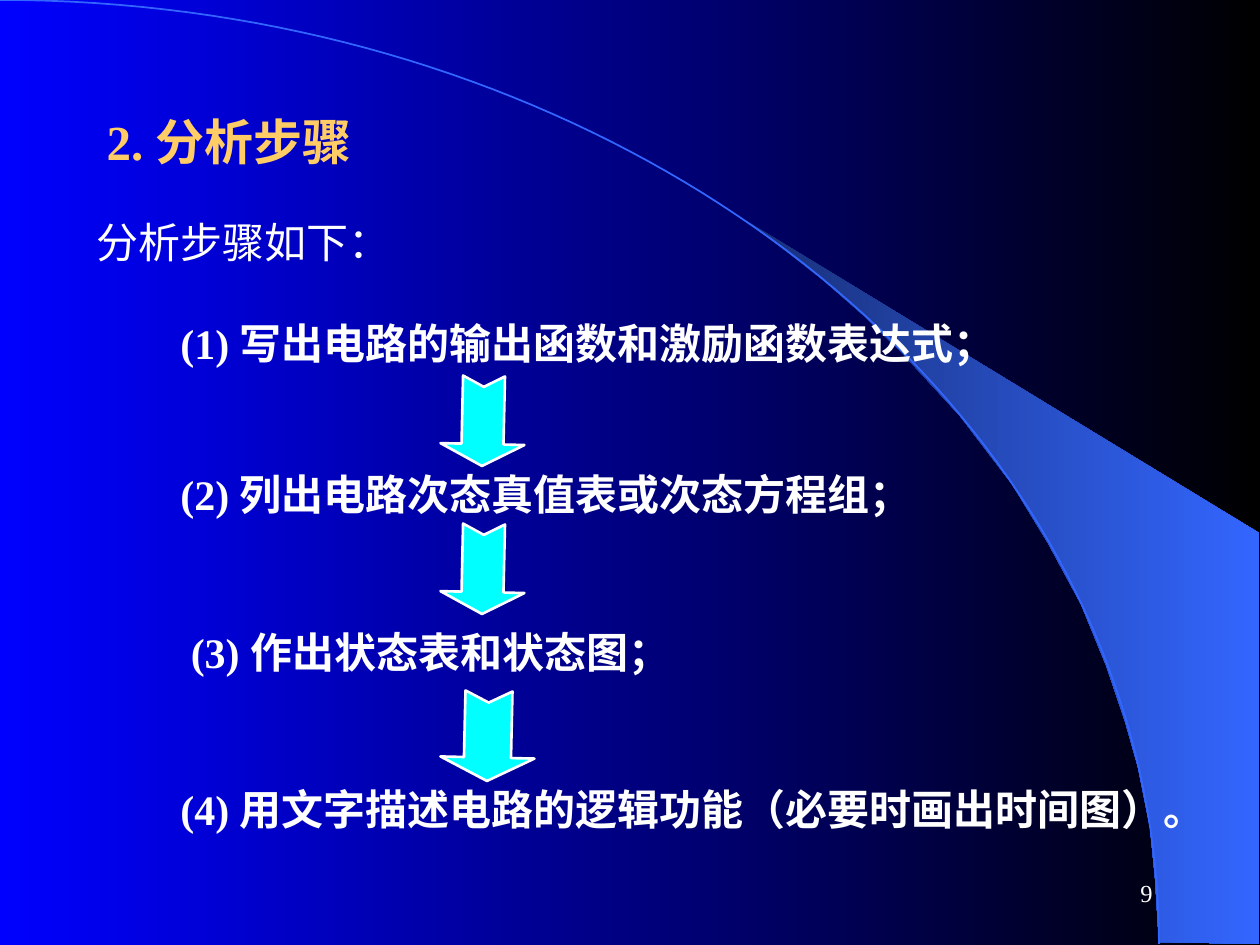
from pptx import Presentation
from pptx import util as u
from pptx.dml.color import RGBColor
from pptx.enum import shapes as sh, text as tx

FONT = "Times New Roman"
WHITE, GOLD, CYAN, BLUE = "FFFFFF", "FFCC66", "00FFFF", "3366FF"


def px(n):
    return u.Emu(round(n * 914400 / 126))


def color(code):
    return RGBColor.from_string(code)


def blend(fill, start, end):
    fill.gradient()
    fill.gradient_angle = 0
    for stop, code in zip(fill.gradient_stops, (start, end)):
        stop.color.rgb = color(code)


def trace(slide, points, close):
    pts = [(px(x), px(y)) for x, y in points]
    pen = slide.shapes.build_freeform(*pts[0], scale=1.0)
    pen.add_line_segments(pts[1:], close=close)
    shape = pen.convert_to_shape()
    shape.shadow.inherit = False
    return shape


def backdrop(slide, w, h):
    blend(slide.background.fill, "0000FF", "000000")
    # Glowing wedge outside the curve
    edge = [(1159, 942), (1259, 944), (1259, 533), (742, 218), (786, 251),
            (823, 280), (863, 315), (902, 353), (960, 416), (1012, 484),
            (1048, 543), (1081, 604), (1106, 665), (1125, 721),
            (1138, 767), (1150, 827), (1155, 877)]
    wedge = trace(slide, edge, True)
    blend(wedge.fill, "182F76", BLUE)
    wedge.line.fill.background()
    # Quarter curve, sampled from a cubic Bezier
    steps = 80
    curve = []
    for i in range(steps + 1):
        t = i / steps
        s = 1 - t
        curve.append((w * (1.656 * s * s * t + 3 * s * t * t + t ** 3),
                      h * (1.341 * s * t * t + t ** 3)))
    arc = trace(slide, curve, False)
    arc.fill.background()
    arc.line.color.rgb = color(BLUE)
    arc.line.width = u.Pt(1)


def write(para, words, size=24, code=WHITE, bold=True, indent=0):
    if indent:
        props = para._p.get_or_add_pPr()
        props.set("marL", str(px(indent)))
        props.set("indent", "0")
    run = para.add_run()
    run.text = words
    font = run.font
    font.name, font.size, font.bold = FONT, u.Pt(size), bold
    font.color.rgb = color(code)


def label(slide, x, y, w, h):
    box = slide.shapes.add_textbox(px(x), px(y), px(w), px(h))
    box.text_frame.word_wrap = True
    return box.text_frame


def heading(slide, x, y, w, h):
    box = slide.shapes.title
    box.left, box.top, box.width, box.height = map(px, (x, y, w, h))
    frame = box.text_frame
    frame.auto_size = tx.MSO_AUTO_SIZE.NONE
    frame.vertical_anchor = tx.MSO_ANCHOR.TOP
    para = frame.paragraphs[0]
    para.alignment = tx.PP_ALIGN.LEFT
    write(para, "2. 分析步骤", 28, GOLD)


def steps(slide, x, y):
    # Lead-in and first step
    frame = label(slide, x, y, 955, 164)
    write(frame.paragraphs[0], "分析步骤如下：", bold=False)
    first = frame.add_paragraph()
    first.space_before = u.Pt(29)
    write(first, "(1) 写出电路的输出函数和激励函数表达式；", indent=84)
    # Other steps
    left, mid = tx.PP_ALIGN.LEFT, tx.PP_ALIGN.CENTER
    for dx, dy, w, align, indent, words in [
            (84, 252, 955, left, 0, "(2) 列出电路次态真值表或次态方程组；"),
            (21, 410, 651, mid, 0, "(3) 作出状态表和状态图；"),
            (42, 567, 1102, left, 42,
             "(4) 用文字描述电路的逻辑功能（必要时画出时间图）。")]:
        para = label(slide, x + dx, y + dy, w, 63).paragraphs[0]
        para.alignment = align
        write(para, words, indent=indent)
    # Arrows between steps
    for dx, dy, h in [(354, 169, 84), (354, 317, 84), (359, 479, 94)]:
        arrow = slide.shapes.add_shape(
            sh.MSO_SHAPE.NOTCHED_RIGHT_ARROW,
            px(x + dx), px(y + dy), px(90), px(h))
        arrow.rotation = 91.3
        arrow.adjustments[1] = 0.26
        arrow.shadow.inherit = False
        arrow.fill.solid()
        arrow.fill.fore_color.rgb = color(CYAN)
        arrow.line.color.rgb = color(WHITE)
        arrow.line.width = u.Pt(1.5)


def number(slide, x, y, w, h):
    frame = label(slide, x, y, w, h)
    frame.vertical_anchor = tx.MSO_ANCHOR.MIDDLE
    para = frame.paragraphs[0]
    para.alignment = tx.PP_ALIGN.RIGHT
    write(para, "9", 14, bold=False)


def main():
    deck = Presentation()
    deck.slide_width, deck.slide_height = px(1260), px(945)
    slide = deck.slides.add_slide(deck.slide_layouts[5])
    backdrop(slide, 1159, 944)
    heading(slide, 94, 105, 998, 72)
    steps(slide, 84, 210)
    number(slide, 903, 861, 262, 63)
    deck.save("out.pptx")


if __name__ == "__main__":
    main()
